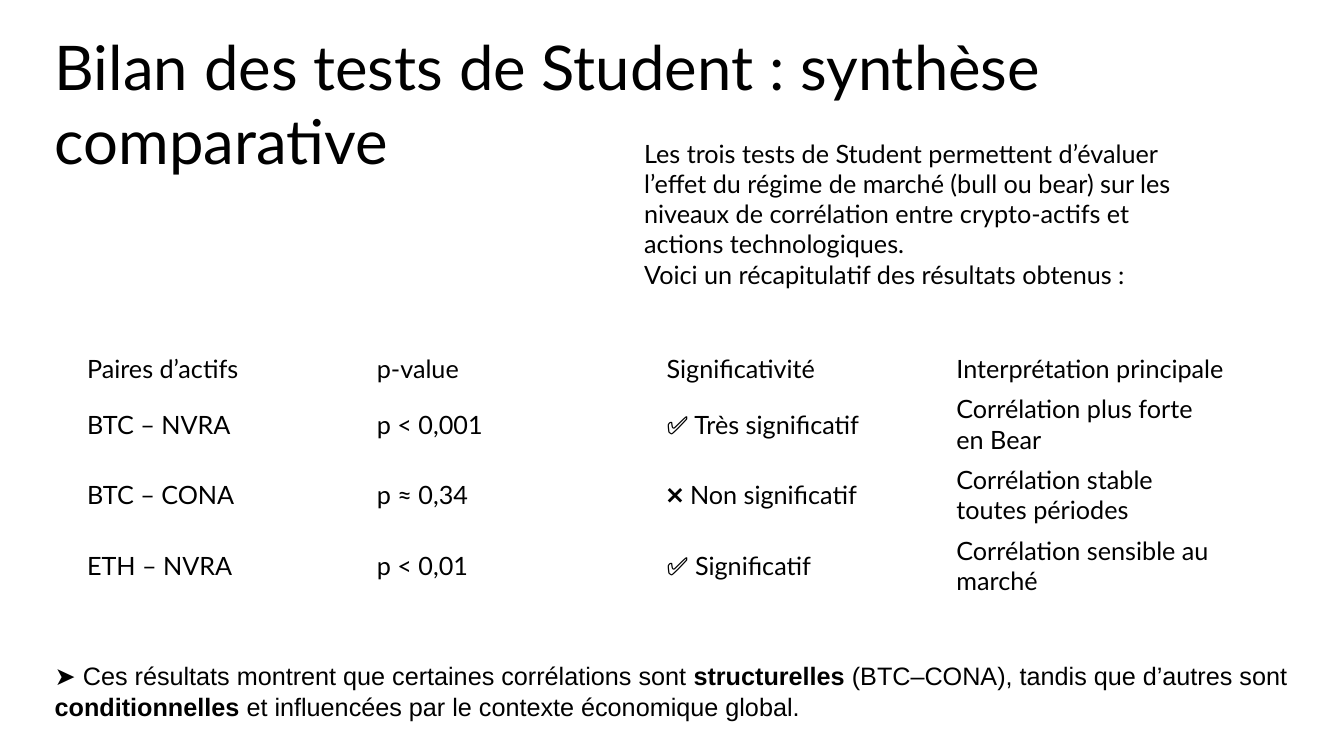
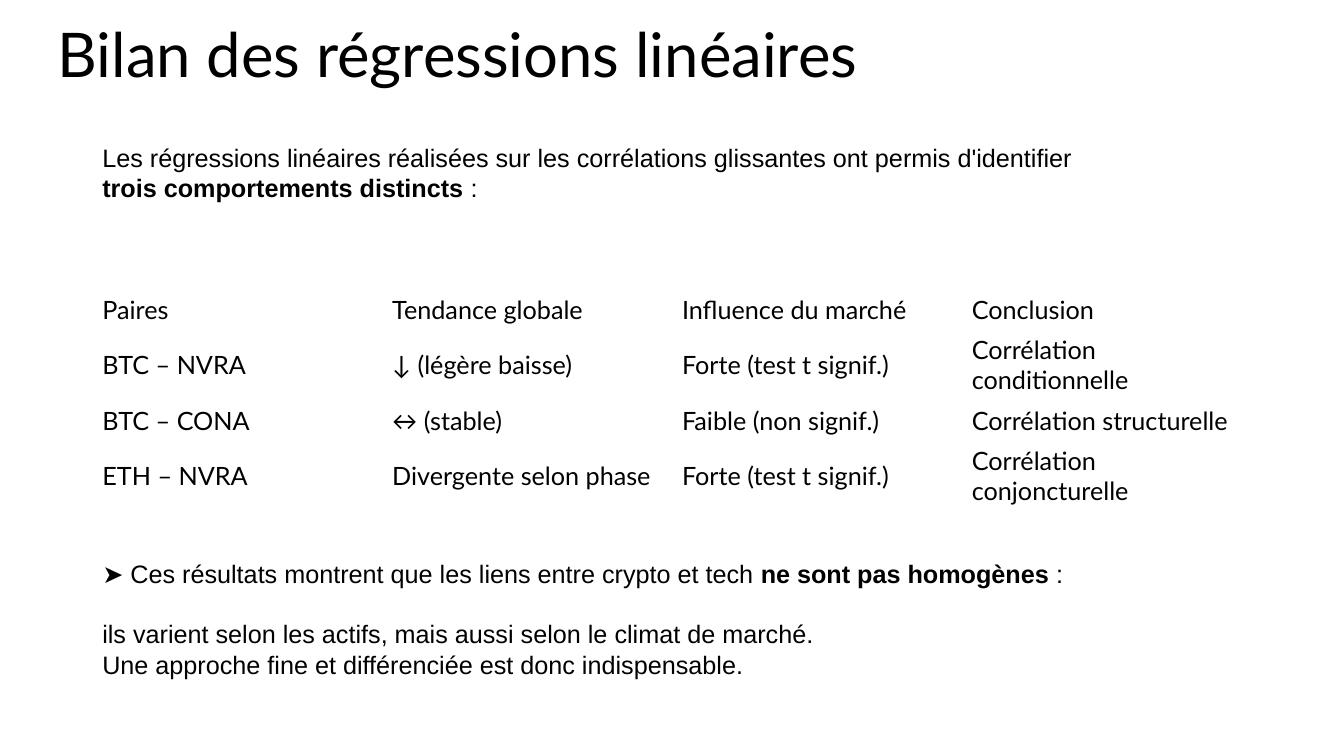
from pptx import Presentation
from pptx.dml.color import RGBColor
from pptx.enum.text import MSO_ANCHOR, MSO_AUTO_SIZE
from pptx.util import Pt

TOP, MID = MSO_ANCHOR.TOP, MSO_ANCHOR.MIDDLE
GROW = MSO_AUTO_SIZE.SHAPE_TO_FIT_TEXT
COLORS = {"ink": "000000", "page": "FFFFFF"}
HEAD, BODY = "Lato", "Arial"
SIZE, LINE, PAD = 18, 21.6, 7.2  # body size, line height, cell padding
COL = 207


def style(para, font, size=SIZE):
    para.font.name = font
    para.font.size = Pt(size)
    para.font.color.rgb = RGBColor.from_string(COLORS["ink"])


def add_text(slide, box, lines, font=BODY, size=SIZE, anchor=TOP):
    """Place lines of text; parts between ** marks are bold."""
    frame = slide.shapes.add_textbox(*map(Pt, box)).text_frame
    frame.word_wrap = True
    frame.auto_size = GROW
    frame.vertical_anchor = anchor
    for i, line in enumerate(lines):
        para = frame.add_paragraph() if i else frame.paragraphs[0]
        for j, part in enumerate(line.split("**")):
            if part:
                run = para.add_run()
                run.text = part
                if j % 2:
                    run.font.bold = True
        style(para, font, size)
    return frame


def add_title(slide, box, text):
    add_text(slide, box, [text], HEAD, 44)


def add_grid(slide, left, top, rows, counts):
    """Place a plain table; counts gives the text lines in each row."""
    highs = [PAD + LINE * n for n in counts]
    wide = len(rows[0])
    box = (left, top, COL * wide, sum(highs))
    table = slide.shapes.add_table(len(rows), wide, *map(Pt, box)).table
    table.first_row = table.horz_banding = False
    for r, row in enumerate(rows):
        table.rows[r].height = Pt(highs[r])
        for c, text in enumerate(row):
            cell = table.cell(r, c)
            cell.fill.solid()
            cell.fill.fore_color.rgb = RGBColor.from_string(COLORS["page"])
            cell.vertical_anchor = MID
            cell.text = text
            style(cell.text_frame.paragraphs[0], HEAD)


def add_tests(slide):
    # Title and introduction
    add_title(slide, (32, 17, 863, 135),
              "Bilan des tests de Student : synthèse comparative")
    add_text(slide, (453, 95, 406, 117), [
        "Les trois tests de Student permettent d’évaluer l’effet du régime de "
        "marché (bull ou bear) sur les niveaux de corrélation entre "
        "crypto-actifs et actions technologiques.",
        "Voici un récapitulatif des résultats obtenus :"], HEAD)
    # Results
    add_grid(slide, 55, 249, [
        ("Paires d’actifs", "p-value", "Significativité",
         "Interprétation principale"),
        ("BTC – NVRA", "p < 0,001", "✅ Très significatif",
         "Corrélation plus forte en Bear"),
        ("BTC – CONA", "p ≈ 0,34", "❌ Non significatif",
         "Corrélation stable toutes périodes"),
        ("ETH – NVRA", "p < 0,01", "✅ Significatif",
         "Corrélation sensible au marché"),
    ], (1, 2, 2, 2))
    # Conclusion
    add_text(slide, (32, 468, 904, 51), [
        "➤ Ces résultats montrent que certaines corrélations sont "
        "**structurelles** (BTC–CONA), tandis que d’autres sont",
        "**conditionnelles** et influencées par le contexte économique "
        "global."], anchor=MID)


def add_trends(slide):
    # Title and introduction
    add_title(slide, (34, 8, 920, 60), "Bilan des régressions linéaires")
    add_text(slide, (66, 98, 730, 73), [
        "Les régressions linéaires réalisées sur les corrélations glissantes "
        "ont permis d'identifier **trois comportements distincts** :"])
    # Results
    add_grid(slide, 66, 206.5, [
        ("Paires", "Tendance globale", "Influence du marché", "Conclusion"),
        ("BTC – NVRA", "↓ (légère baisse)", "Forte (test t signif.)",
         "Corrélation conditionnelle"),
        ("BTC – CONA", "↔ (stable)", "Faible (non signif.)",
         "Corrélation structurelle"),
        ("ETH – NVRA", "Divergente selon phase", "Forte (test t signif.)",
         "Corrélation conjoncturelle"),
    ], (1, 2, 1, 2))
    # Conclusion
    frame = add_text(slide, (66, 395, 880, 94), [
        "➤ Ces résultats montrent que les liens entre crypto et tech "
        "**ne sont pas homogènes** :",
        "ils varient selon les actifs, mais aussi selon le climat de marché.",
        "Une approche fine et différenciée est donc indispensable."],
        anchor=MID)
    frame.paragraphs[1].space_before = Pt(LINE)


def main():
    deck = Presentation()
    deck.slide_width, deck.slide_height = Pt(960), Pt(540)
    for build in (add_tests, add_trends):
        build(deck.slides.add_slide(deck.slide_layouts[6]))
    deck.save("out.pptx")


if __name__ == "__main__":
    main()
